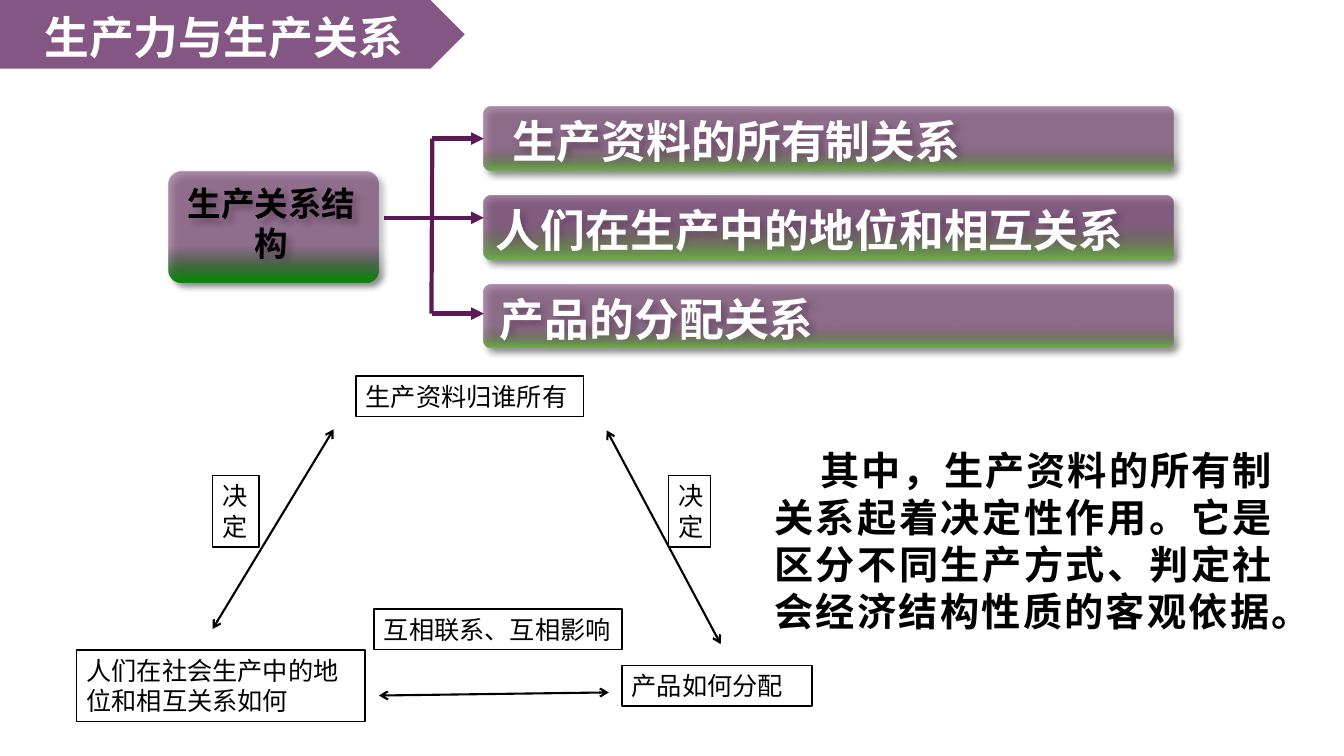
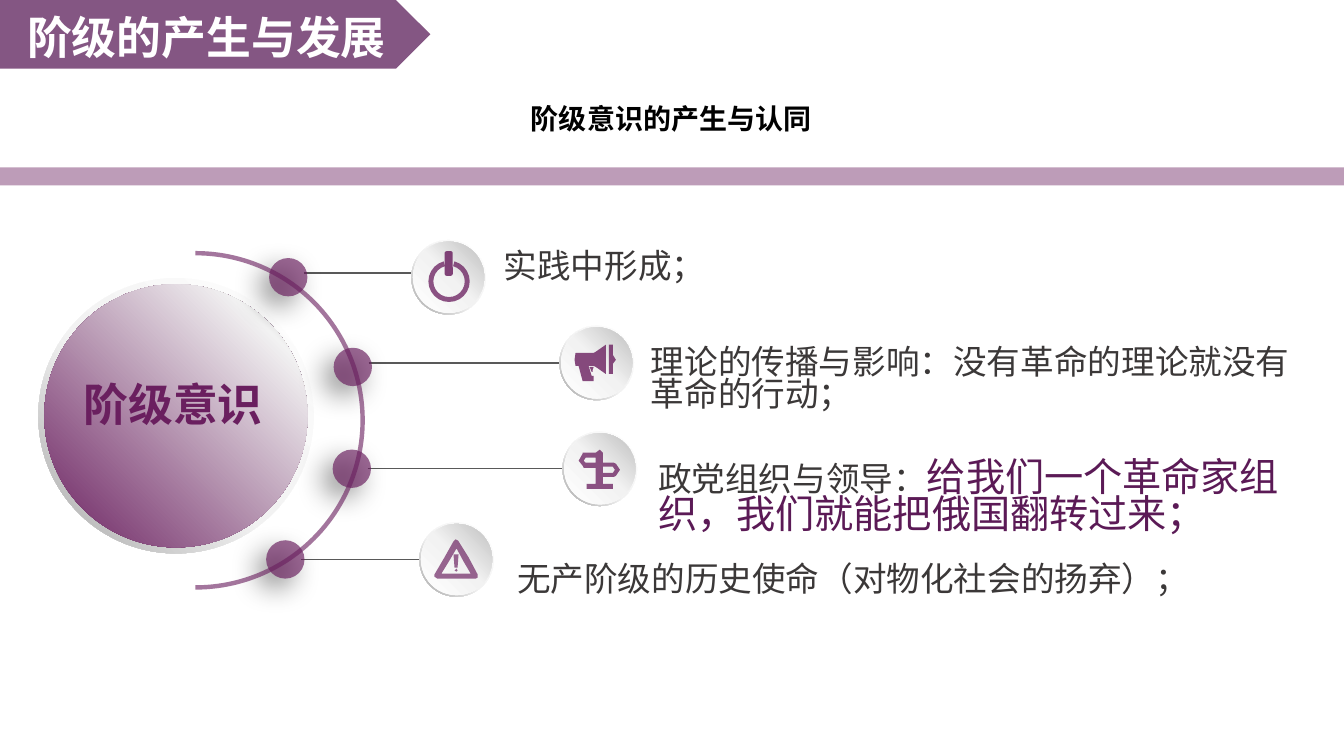
from dataclasses import dataclass
from typing import Optional

import pptx
import pptx.dml.color
import pptx.enum.shapes
import pptx.enum.text
import pptx.oxml.ns
import pptx.oxml.xmlchemy
import pptx.util

Pt = pptx.util.Pt
SHAPE = pptx.enum.shapes.MSO_SHAPE
ALIGN = pptx.enum.text.PP_ALIGN
ANCHOR = pptx.enum.text.MSO_ANCHOR
qn = pptx.oxml.ns.qn

FONT = "Noto Sans CJK SC"
COLORS = {
    "title": "5A1B58", "plum": "5B1A56", "purple": "6A1F5F",
    "green": "008E00", "leaf": "6BB247", "black": "000000",
    "white": "FFFFFF", "pale": "F2F2F2", "silver": "BFBFBF",
    "gray": "A6A6A6", "leader": "595959", "text": "3B3838",
}
RING_STOPS = [(0, "white", 100), (55, "pale", 100), (100, "gray", 100)]
FACE_STOPS = [(0, "white", 100), (51, "pale", 100), (100, "silver", 100)]
ORB_STOPS = [(0, "purple", 100), (84, "pale", 100), (93, "silver", 100)]
RING_WIDTH = 0.049
ICON_UNIT = Pt(0.72)


@dataclass
class Style:
    size: float
    color: str = "black"
    bold: bool = False
    leading: float = 1.2
    align: ALIGN = ALIGN.LEFT
    anchor: ANCHOR = ANCHOR.TOP
    insets: tuple = (7.2, 3.6, 7.2, 3.6)
    indent: float = 0


@dataclass
class Shadow:
    alpha: int
    blur: float
    distance: float
    angle: int


@dataclass
class Bar:
    text: str
    inset: float
    solid_until: int
    alpha: int
    arrow_y: Optional[float] = None  # None joins the middle of the side


@dataclass
class Stage:
    dot: tuple
    leader_y: float
    badge: tuple
    box: tuple
    text: str
    quote: str
    icon_alpha: int
    outlines: list  # in icon units from the badge corner


TITLE = Style(32, "white", True, align=ALIGN.CENTER, anchor=ANCHOR.MIDDLE,
              insets=(7.2, 3.6, 7.2, 0))
BOX_SHADOW = Shadow(50, 5, 4.2, 45)
DOT_SHADOW = Shadow(60, 20, 10, 135)


# Shared helpers
def rgb(name: str):
    return pptx.dml.color.RGBColor.from_string(COLORS[name])


def child(parent, tag: str, **attributes):
    element = pptx.oxml.xmlchemy.OxmlElement(tag)
    for key, value in attributes.items():
        element.set(key, str(value))
    parent.append(element)
    return element


def add_alpha(color_element, alpha: int) -> None:
    if alpha < 100:
        child(color_element, "a:alpha", val=alpha * 1000)


def fill_solid(shape, color: str, alpha: int = 100) -> None:
    shape.shadow.inherit = False
    shape.line.fill.background()
    shape.fill.solid()
    shape.fill.fore_color.rgb = rgb(color)
    add_alpha(shape._element.spPr.find(qn("a:solidFill"))[0], alpha)


def fill_gradient(shape, stops: list, angle: int) -> None:
    shape.shadow.inherit = False
    shape.line.fill.background()
    shape.fill.gradient()
    shape.fill.gradient_angle = 360 - angle
    stop_list = shape._element.spPr.find(qn("a:gradFill")).find(qn("a:gsLst"))
    for stop in list(stop_list):
        stop_list.remove(stop)
    for position, color, alpha in stops:
        stop = child(stop_list, "a:gs", pos=position * 1000)
        add_alpha(child(stop, "a:srgbClr", val=COLORS[color]), alpha)


def cast_shadow(shape, shadow: Shadow) -> None:
    effects = shape._element.spPr.find(qn("a:effectLst"))
    outer = child(effects, "a:outerShdw", blurRad=Pt(shadow.blur),
                  dist=Pt(shadow.distance), dir=shadow.angle * 60000,
                  algn="ctr", rotWithShape=0)
    add_alpha(child(outer, "a:srgbClr", val=COLORS["black"]), shadow.alpha)


def add_shape(page, kind, left: float, top: float, width: float, height: float):
    return page.shapes.add_shape(kind, Pt(left), Pt(top), Pt(width), Pt(height))


def format_span(span, size: float, color: str, bold: bool) -> None:
    span.font.size = Pt(size)
    span.font.bold = bold
    span.font.color.rgb = rgb(color)
    span.font.name = FONT
    child(span._r.get_or_add_rPr(), "a:ea", typeface=FONT)


def write(shape, text: str, style: Style, wrap: bool = True):
    frame = shape.text_frame
    frame.text = text
    frame.word_wrap = wrap
    frame.vertical_anchor = style.anchor
    (frame.margin_left, frame.margin_top,
     frame.margin_right, frame.margin_bottom) = map(Pt, style.insets)
    para = frame.paragraphs[0]
    para.alignment = style.align
    para.line_spacing = Pt(round(style.size * style.leading, 1))
    if style.indent:
        para._p.get_or_add_pPr().set("indent", str(Pt(style.indent)))
    format_span(para.runs[0], style.size, style.color, style.bold)
    return para


def add_text(page, box: tuple, text: str, style: Style, wrap: bool = True):
    return write(page.shapes.add_textbox(*map(Pt, box)), text, style, wrap)


def add_line(page, start: tuple, end: tuple, color: str, width: float,
             head: str = "", tail: str = ""):
    line = page.shapes.add_connector(
        pptx.enum.shapes.MSO_CONNECTOR.STRAIGHT, *map(Pt, (*start, *end)))
    line.line.color.rgb = rgb(color)
    line.line.width = Pt(width)
    outline = line.line._get_or_add_ln()
    for tag, kind in (("a:headEnd", head), ("a:tailEnd", tail)):
        if kind:
            child(outline, tag, type=kind)
    child(line._element.spPr, "a:effectLst")
    return line


def add_page(deck, title: str, width: float):
    page = deck.slides.add_slide(deck.slide_layouts[6])
    banner = add_shape(page, SHAPE.PENTAGON, 0, 0, width, 49)
    fill_solid(banner, "title", 74)
    write(banner, title, TITLE)
    return page


# Slide 1: relations of production
def add_rounded(page, box: tuple, stops: list):
    block = add_shape(page, SHAPE.ROUNDED_RECTANGLE, *box)
    block.adjustments[0] = 0.119
    fill_gradient(block, stops, 90)
    cast_shadow(block, BOX_SHADOW)
    return block


def build_relations(deck) -> None:
    page = add_page(deck, "生产力与生产关系", 332)

    # Triangle of questions
    labels = [
        ((254.2, 268.6, 162.7, 29), "生产资料归谁所有"),
        ((54.7, 464.4, 206, 51), "人们在社会生产中的地位和相互关系如何"),
        ((444.2, 475.2, 136, 29), "产品如何分配"),
        ((267.1, 434.9, 177.2, 29), "互相联系、互相影响"),
        ((151.9, 339.8, 33.1, 51), "决定"),
        ((477.4, 339.8, 30.2, 51), "决定"),
    ]
    for box, text in labels:
        label = add_shape(page, SHAPE.RECTANGLE, *box)
        fill_solid(label, "white")
        label.line.color.rgb = rgb("black")
        label.line.width = Pt(1)
        write(label, text, Style(18))
    for start, end in [((270.7, 496.8), (434.9, 494.6)),
                       ((433.4, 307.4), (514.8, 460.1)),
                       ((238.3, 306.7), (151.9, 449.3))]:
        add_line(page, start, end, "black", 1.5, "arrow", "arrow")

    add_text(page, (545.8, 315.5, 370, 144),
             "其中，生产资料的所有制关系起着决定性作用。它是区分不同生产方式、"
             "判定社会经济结构性质的客观依据。",
             Style(28, bold=True, align=ALIGN.JUSTIFY, indent=33))

    # Structure tree
    root = add_rounded(page, (120.2, 122.4, 150.5, 79.2),
                       [(66, "plum", 49), (100, "green", 100)])
    write(root, "生产关系结构",
          Style(24, bold=True, align=ALIGN.CENTER, anchor=ANCHOR.MIDDLE,
                insets=(0, 0, 3, 5)))
    trunk_x = 308.8
    add_line(page, (274.3, 156), (trunk_x, 156), "plum", 3)
    add_line(page, (trunk_x, 99), (trunk_x - 0.6, 224), "plum", 3)
    bar_left, bar_top, bar_height, bar_pitch = 345.6, 76.3, 45.4, 63.4
    bars = [
        Bar("生产资料的所有制关系", 18.7, 64, 50),
        Bar("人们在生产中的地位和相互关系", 7.2, 44, 57, 155.6),
        Bar("产品的分配关系", 10, 66, 50, 224),
    ]
    for index, bar in enumerate(bars):
        top = bar_top + index * bar_pitch
        block = add_rounded(page, (bar_left, top, 492.5, bar_height),
                            [(bar.solid_until, "plum", bar.alpha),
                             (100, "leaf", 100)])
        write(block, bar.text,
              Style(32, "white", True, anchor=ANCHOR.MIDDLE,
                    insets=(bar.inset, 3.6, 7.2, 0)))
        arrow_y = bar.arrow_y or top + bar_height / 2
        arrow = add_line(page, (trunk_x, arrow_y), (bar_left, arrow_y),
                         "plum", 3, tail="triangle")
        if bar.arrow_y is None:
            arrow.end_connect(block, 1)


# Slide 2: class consciousness
STAGES = [
    Stage((192.2, 184.3), 195.1, (293.8, 171.4), (352.8, 177.5, 554, 30),
          "实践中形成；", "", 76, []),
    Stage((238.3, 248.4), 259.2, (399.6, 232.6), (457.9, 245.5, 478, 54),
          "理论的传播与影响：没有革命的理论就没有革命的行动；", "", 80, [
              [(16, 27), (34, 27), (36, 26), (46, 19), (46, 48), (36, 41),
               (34, 40), (29, 40), (32, 50), (34, 50), (34, 55), (23, 55),
               (19, 40), (16, 40), (15, 34)],
              [(53, 29), (56, 34), (53, 38), (53, 48), (49, 48), (49, 19),
               (53, 19)],
              [(34, 41), (30, 41), (32, 46), (33, 46), (33, 44)]]),
    Stage((237.6, 321.1), 334.8, (401.8, 308.2), (463, 326, 468, 61),
          "政党组织与领导：", "给我们一个革命家组织，我们就能把俄国翻转过来；", 76, [
              [(33, 26), (23, 26), (21, 29), (23, 31), (33, 31)],
              [(40, 31), (51, 31), (53, 32), (57, 38), (53, 44), (51, 45),
               (40, 45), (40, 52), (50, 52), (50, 57), (24, 57), (24, 52),
               (33, 52), (33, 36), (21, 36), (20, 34), (16, 29), (20, 22),
               (20, 21), (33, 21), (37, 18), (40, 21)],
              [(50, 35), (40, 35), (40, 41), (50, 41), (52, 38)]]),
    Stage((190.1, 385.9), 399.6, (299.5, 373), (362.2, 401, 552, 30),
          "无产阶级的历史使命（对物化社会的扬弃）；", "", 68, [
              [(39, 19), (49, 35), (58, 52), (58, 55), (56, 56), (18, 56),
               (15, 54), (15, 52), (25, 35), (34, 19), (36, 17), (38, 18)],
              [(34, 32), (35, 45), (38, 45), (39, 32)],
              [(37, 49), (38, 48), (37, 46), (35, 48)],
              [(44, 39), (37, 26), (30, 38), (22, 51), (51, 51)]]),
]


def add_disc(page, left: float, top: float, size: float, rim: float,
             stops: list) -> None:
    ring = add_shape(page, SHAPE.DONUT, left, top, size, size)
    ring.adjustments[0] = RING_WIDTH
    fill_gradient(ring, RING_STOPS, 135)
    face = add_shape(page, SHAPE.OVAL, left + rim, top + rim,
                     size - 2 * rim, size - 2 * rim)
    fill_gradient(face, stops, 315)


def add_power_icon(page, left: float, top: float) -> None:
    ring = add_shape(page, SHAPE.BLOCK_ARC, left + 12.2, top + 14.8, 29.5, 29.5)
    # Angles count 0.6 a degree: from 285 round to 255
    ring.adjustments[0], ring.adjustments[1] = 285 * 0.6, 255 * 0.6
    ring.adjustments[2] = 0.12
    fill_solid(ring, "purple", 76)
    switch = add_shape(page, SHAPE.ROUNDED_RECTANGLE, left + 23.8, top + 8, 5.8, 17.6)
    switch.adjustments[0] = 0.25
    fill_solid(switch, "purple", 83)


def add_outline_icon(page, stage: Stage) -> None:
    first, *others = stage.outlines
    builder = page.shapes.build_freeform(*first[0], scale=ICON_UNIT)
    builder.add_line_segments(first[1:], close=True)
    for outline in others:
        builder.move_to(*outline[0])
        builder.add_line_segments(outline[1:], close=True)
    icon = builder.convert_to_shape(*map(Pt, stage.badge))
    fill_solid(icon, "purple", stage.icon_alpha)


def build_consciousness(deck) -> None:
    page = add_page(deck, "阶级的产生与发展", 307.4)
    fill_solid(add_shape(page, SHAPE.RECTANGLE, 0, 119.5, 960, 13), "purple", 44)
    add_text(page, (372.2, 69.1, 216, 31.7), "阶级意识的产生与认同",
             Style(20, bold=True), wrap=False)

    # Leaders lie behind the orb, the dots and the badges
    for stage in STAGES:
        add_line(page, (stage.dot[0] + 25, stage.leader_y),
                 (stage.badge[0] + 5, stage.leader_y), "leader", 1)
    add_disc(page, 27.4, 198.7, 196.6, 4.3, ORB_STOPS)
    for stage in STAGES:
        dot = add_shape(page, SHAPE.OVAL, *stage.dot, 27.4, 27.4)
        fill_solid(dot, "purple", 67)
        cast_shadow(dot, DOT_SHADOW)

    # Badges and their texts
    for stage in STAGES:
        add_disc(page, *stage.badge, 53.3, 1.2, FACE_STOPS)
        if stage.outlines:
            add_outline_icon(page, stage)
        else:
            add_power_icon(page, *stage.badge)
        para = add_text(page, stage.box, stage.text,
                        Style(24, "text", leading=0.96))
        if stage.quote:
            span = para.add_run()
            span.text = stage.quote
            format_span(span, 28, "plum", False)
            para.line_spacing = Pt(26.9)

    # Half circle around the orb
    arc = add_shape(page, SHAPE.BLOCK_ARC, 18.7, 179.3, 241.9, 241.9)
    arc.adjustments[2] = 0.013
    arc.rotation = 90
    fill_solid(arc, "purple", 61)
    add_text(page, (52.6, 265.7, 146.2, 46), "阶级意识",
             Style(32, "purple", True), wrap=False)


def main() -> None:
    deck = pptx.Presentation()
    deck.slide_width, deck.slide_height = Pt(960), Pt(540)
    build_relations(deck)
    build_consciousness(deck)
    deck.save("out.pptx")


if __name__ == "__main__":
    main()
